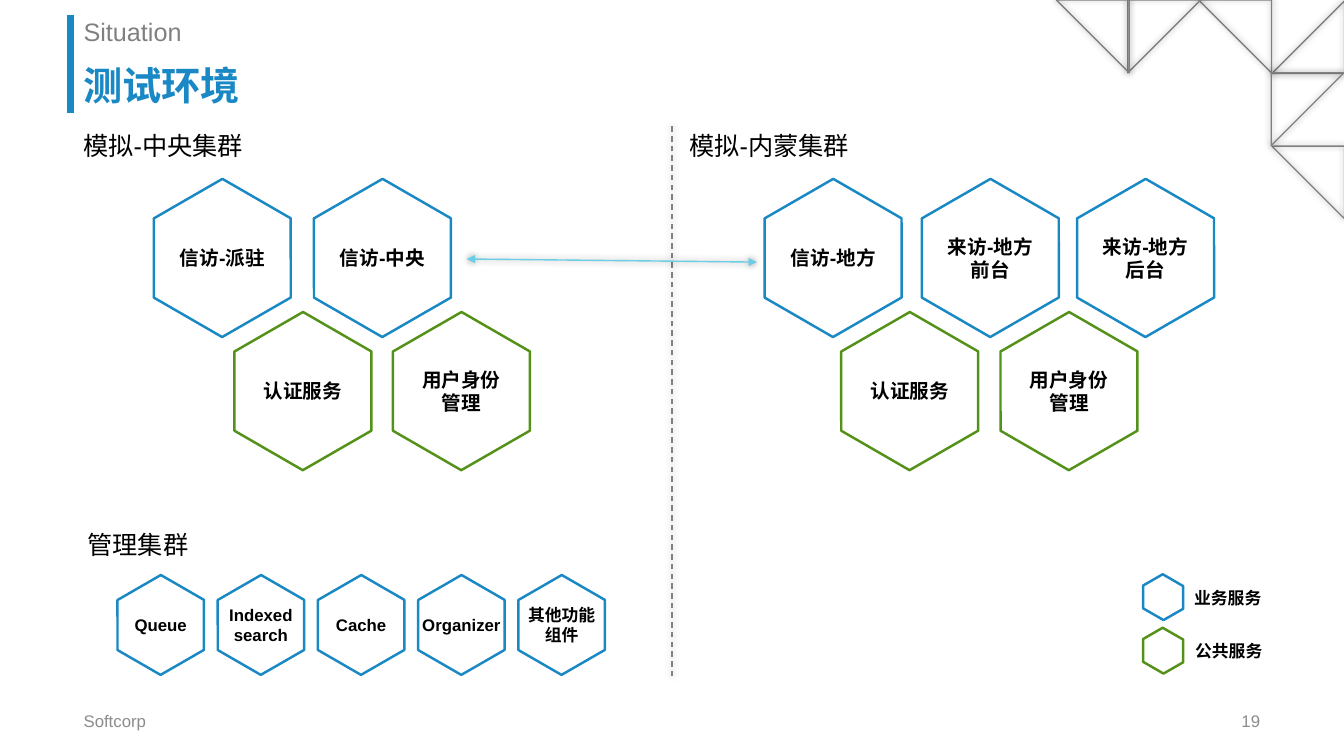
import dataclasses

import pptx
import pptx.dml.color
import pptx.enum.dml
import pptx.enum.shapes
import pptx.enum.text
import pptx.oxml
import pptx.oxml.ns
import pptx.util

Pt = pptx.util.Pt
SHAPE = pptx.enum.shapes.MSO_SHAPE
ALIGN = pptx.enum.text.PP_ALIGN
ANCHOR = pptx.enum.text.MSO_ANCHOR
DASH = pptx.enum.dml.MSO_LINE


@dataclasses.dataclass(frozen=True)
class Theme:
    font: str = "Arial"
    blue: str = "1988C5"
    green: str = "549118"
    cyan: str = "6CCEE5"
    gray: str = "808080"
    footer_gray: str = "8C8C8C"
    black: str = "000000"
    title_size: int = 28
    heading_size: int = 18
    label_size: int = 14
    small_size: int = 12
    outline: float = 1.75


def color(value):
    return pptx.dml.color.RGBColor.from_string(value)


def apply(target, formats):
    for name, value in formats.items():
        setattr(target, name, value)


class SlideBuilder:
    def __init__(self, slide, theme):
        self.slide = slide
        self.theme = theme

    def effects(self, shape, soft):
        """Replace the inherited shadow by none, or by a soft glow-like one."""
        namespace = pptx.oxml.ns.nsdecls("a")
        shadow = ('<a:outerShdw blurRad="63500" dist="0" algn="ctr" rotWithShape="0">'
                  '<a:srgbClr val="000000"><a:alpha val="40000"/></a:srgbClr>'
                  '</a:outerShdw>') if soft else ""
        shape._element.spPr.append(pptx.oxml.parse_xml(
            f"<a:effectLst {namespace}>{shadow}</a:effectLst>"))

    def outline(self, kind, box, line_color, width, rotation, soft=False, parent=None):
        shapes = (parent or self.slide).shapes
        shape = shapes.add_shape(kind, *(Pt(length) for length in box))
        shape.rotation = rotation
        shape.fill.background()
        shape.line.color.rgb = color(line_color)
        shape.line.width = Pt(width)
        self.effects(shape, soft)
        return shape

    def line(self, start, end, line_color, width, soft=True, dash=None, arrows=False):
        connector = self.slide.shapes.add_connector(
            pptx.enum.shapes.MSO_CONNECTOR.STRAIGHT,
            *(Pt(length) for length in (*start, *end)))
        connector.line.color.rgb = color(line_color)
        apply(connector.line, {"width": Pt(width), "dash_style": dash})
        if arrows:
            namespace = pptx.oxml.ns.nsdecls("a")
            for tag in ("headEnd", "tailEnd"):
                connector.line._get_or_add_ln().append(
                    pptx.oxml.parse_xml(f'<a:{tag} {namespace} type="triangle"/>'))
        self.effects(connector, soft)

    def text(self, content, box, size, text_color=None, bold=False, align=ALIGN.LEFT,
             anchor=ANCHOR.TOP, spacing=1.0, wrap=True, parent=None):
        shapes = (parent or self.slide).shapes
        frame = shapes.add_textbox(*(Pt(length) for length in box)).text_frame
        apply(frame, {"text": content, "word_wrap": wrap, "vertical_anchor": anchor})
        for paragraph in frame.paragraphs:
            apply(paragraph, {"alignment": align, "line_spacing": spacing})
            for run in paragraph.runs:
                apply(run.font, {"name": self.theme.font, "size": Pt(size), "bold": bold})
                run.font.color.rgb = color(text_color or self.theme.black)

    def hexagon(self, center, width, height, line_color, parent=None):
        """Draw a hexagon standing on a corner around its center."""
        box = (center[0] - width / 2, center[1] - height / 2, width, height)
        shape = self.outline(SHAPE.HEXAGON, box, line_color, self.theme.outline, 30,
                             parent=parent)
        shape.adjustments[0] = 0.289

    def service(self, content, center, size, line_color, text_size):
        """Group a hexagon with its label; hyphenated names break inside it."""
        group = self.slide.shapes.add_group_shape()
        self.hexagon(center, *size, line_color, parent=group)
        box = (center[0] - 37.8, center[1] - 20.5, 75.6, 41)
        self.text(content, box, text_size, bold=True, align=ALIGN.CENTER,
                  anchor=ANCHOR.MIDDLE, wrap="-" in content, parent=group)


def build_frame(builder):
    theme = builder.theme
    side = 52
    # left, top, rotation of each corner triangle
    for left, top, rotation in ((908.5, 0.5, 270), (856.2, 0, 180), (805.6, 0, 90),
                                (754.6, 0, 180), (908.5, 104.4, 180), (908, 52, 90)):
        builder.outline(SHAPE.RIGHT_TRIANGLE, (left, top, side, side), theme.gray, 1,
                        rotation, soft=True)
    builder.line((50.4, 10.8), (50.4, 80.6), theme.blue, 5, soft=False)
    builder.text("测试环境", (52.6, 38.9, 854.6, 42.5), theme.title_size, theme.blue,
                 bold=True, anchor=ANCHOR.BOTTOM, spacing=0.9)
    builder.text("Situation", (52.6, 10.8, 854.6, 28), theme.heading_size, theme.gray,
                 spacing=0.9)
    for content, left, align in (("Softcorp", 52.6, ALIGN.LEFT), ("19", 678.2, ALIGN.RIGHT)):
        builder.text(content, (left, 500.4, 229, 28.8), theme.small_size,
                     theme.footer_gray, align=align, anchor=ANCHOR.MIDDLE)


def build_clusters(builder):
    theme = builder.theme
    business_y, public_y = 184.3, 279.4
    services = (
        ("信访-派驻", 158.8, business_y, theme.blue),
        ("信访-中央", 273.2, business_y, theme.blue),
        ("信访-地方", 595.1, business_y, theme.blue),
        ("来访-地方\n前台", 707.4, business_y, theme.blue),
        ("来访-地方\n后台", 818.3, business_y, theme.blue),
        ("认证服务", 216.4, public_y, theme.green),
        ("用户身份\n管理", 329.6, public_y, theme.green),
        ("认证服务", 649.8, public_y, theme.green),
        ("用户身份\n管理", 763.6, public_y, theme.green),
    )
    for content, x, y, line_color in services:
        builder.service(content, (x, y), (113, 98), line_color, theme.label_size)

    builder.line((480, 483.1), (480, 90), theme.gray, 1, dash=DASH.DASH)
    builder.line((540.7, 187.2), (333.4, 185), theme.cyan, 1, arrows=True)
    for content, left, top, width in (("模拟-中央集群", 52.4, 89.3, 129.6),
                                      ("模拟-内蒙集群", 485.3, 89.3, 129.6),
                                      ("管理集群", 55.4, 374.6, 100)):
        builder.text(content, (left, top, width, 28.8), theme.heading_size)


def build_management(builder):
    theme = builder.theme
    components = ("Queue", "Indexed\nsearch", "Cache", "Organizer", "其他功能\n组件")
    for index, content in enumerate(components):
        builder.service(content, (114.8 + 71.6 * index, 446.4), (71.3, 61.9), theme.blue,
                        theme.small_size)


def build_legend(builder):
    theme = builder.theme
    for content, y, left, line_color in (("业务服务", 426.6, 845.3, theme.blue),
                                         ("公共服务", 464.8, 846, theme.green)):
        builder.hexagon((830.8, y), 33.1, 28.1, line_color)
        builder.text(content, (left, y - 10.5, 63.4, 21.6), theme.small_size, bold=True,
                     align=ALIGN.CENTER, wrap=False)


def main():
    presentation = pptx.Presentation()
    apply(presentation, {"slide_width": Pt(960), "slide_height": Pt(540)})
    slide = presentation.slides.add_slide(presentation.slide_layouts[6])
    builder = SlideBuilder(slide, Theme())
    build_frame(builder)
    build_clusters(builder)
    build_management(builder)
    build_legend(builder)
    presentation.save("out.pptx")


if __name__ == "__main__":
    main()
